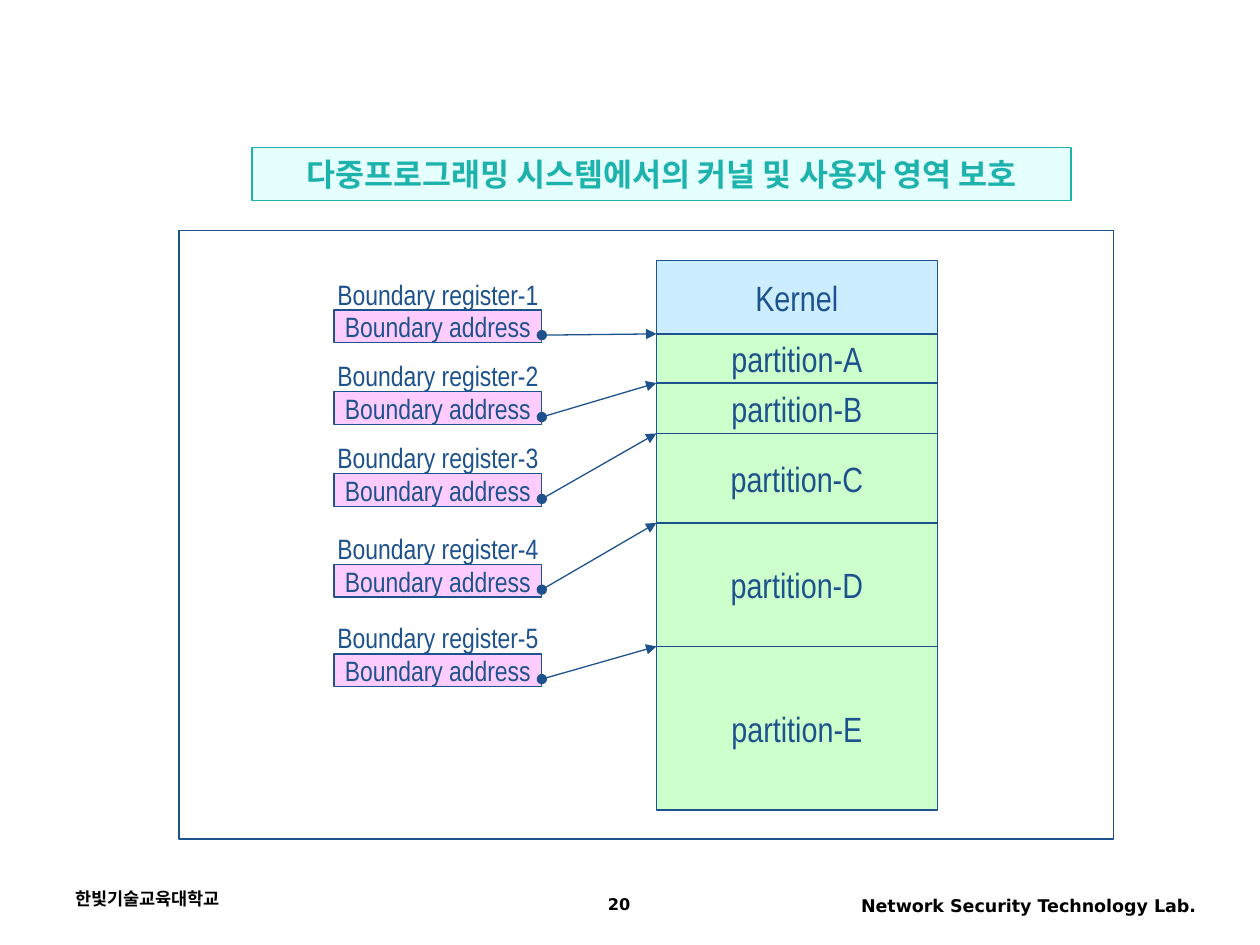
from lxml import etree
from pptx import Presentation
from pptx.dml.color import RGBColor
from pptx.enum.shapes import MSO_CONNECTOR, MSO_SHAPE
from pptx.enum.text import MSO_ANCHOR, MSO_AUTO_SIZE, PP_ALIGN
from pptx.oxml.ns import qn
from pptx.util import Inches, Pt

LEFT, CENTER, RIGHT = PP_ALIGN.LEFT, PP_ALIGN.CENTER, PP_ALIGN.RIGHT
MIDDLE, TOP = MSO_ANCHOR.MIDDLE, MSO_ANCHOR.TOP
NO_FIT = MSO_AUTO_SIZE.NONE
RECTANGLE, STRAIGHT = MSO_SHAPE.RECTANGLE, MSO_CONNECTOR.STRAIGHT

BLUE = RGBColor(0x1D, 0x52, 0x8D)
TEAL = RGBColor(0x1D, 0xB3, 0xAC)
PALE_TEAL = RGBColor(0xCC, 0xFF, 0xFF)
PALE_BLUE = RGBColor(0xCC, 0xEC, 0xFF)
PALE_GREEN = RGBColor(0xCC, 0xFF, 0xCC)
PINK = RGBColor(0xFF, 0xCC, 0xFF)
WHITE = RGBColor(0xFF, 0xFF, 0xFF)
BLACK = RGBColor(0, 0, 0)

BODY_FONT, FOOTER_FONT = "Arial Narrow", "DejaVu Sans"
LINE_WIDTH = Pt(0.75)

# Content
TITLE = "다중프로그래밍 시스템에서의 커널 및 사용자 영역 보호"
MEMORY = [  # name, top edge, fill
    ("Kernel", 2.07, PALE_BLUE),
    ("partition-A", 2.65, PALE_GREEN),
    ("partition-B", 3.04, PALE_GREEN),
    ("partition-C", 3.44, PALE_GREEN),
    ("partition-D", 4.15, PALE_GREEN),
    ("partition-E", 5.13, PALE_GREEN),
]
MEMORY_LEFT, MEMORY_WIDTH, MEMORY_BOTTOM = 5.21, 2.23, 6.43
REGISTER_TOPS = [2.46, 3.11, 3.76, 4.48, 5.19]
REGISTER_LEFT, REGISTER_WIDTH, REGISTER_HEIGHT = 2.65, 1.65, 0.26
FOOTERS = [  # text, area, size, alignment
    ("한빛기술교육대학교", (0.5, 7, 2.33, 0.33), 10, LEFT),
    ("20", (3.75, 7.05, 2.33, 0.28), 9.2, CENTER),
    ("Network Security Technology Lab.", (6.42, 7.05, 3.17, 0.32), 10, RIGHT),
]


def inches(values):
    return [Inches(value) for value in values]


def write(box, text, size, color, font=BODY_FONT, align=CENTER,
          anchor=MIDDLE, bold=False, wrap=False):
    frame = box.text_frame
    frame.auto_size = NO_FIT
    frame.word_wrap = wrap
    frame.vertical_anchor = anchor
    para = frame.paragraphs[0]
    para.text = text
    para.alignment = align
    para.font.size = Pt(size)
    para.font.name = font
    para.font.bold = bold
    para.font.color.rgb = color


def paint(box, fill, line):
    box.fill.solid()
    box.fill.fore_color.rgb = fill
    box.line.color.rgb = line
    box.line.width = LINE_WIDTH


def add_rectangle(page, area, fill):
    box = page.shapes.add_shape(RECTANGLE, *inches(area))
    box.shadow.inherit = False
    paint(box, fill, BLUE)
    return box


def add_label(page, area, text, size, color, **style):
    box = page.shapes.add_textbox(*inches(area))
    write(box, text, size, color, anchor=TOP, **style)


def add_pointer(page, start, end):
    pointer = page.shapes.add_connector(STRAIGHT, *inches(start + end))
    pointer.line.color.rgb = BLUE
    pointer.line.width = LINE_WIDTH
    line = pointer.line._get_or_add_ln()
    etree.SubElement(line, qn("a:headEnd"), type="oval")
    etree.SubElement(line, qn("a:tailEnd"), type="triangle")
    etree.SubElement(pointer._element.spPr, qn("a:effectLst"))


def format_title(title):
    title.left, title.top, title.width, title.height = inches((2, 1.17, 6.5, 0.42))
    properties = title._element.spPr
    outline = etree.SubElement(properties, qn("a:prstGeom"),
                               prst="flowChartAlternateProcess")
    etree.SubElement(outline, qn("a:avLst"))
    paint(title, PALE_TEAL, TEAL)
    fill_color = properties.find(qn("a:solidFill")).find(qn("a:srgbClr"))
    etree.SubElement(fill_color, qn("a:alpha"), val="50000")
    write(title, TITLE, 18, TEAL, bold=True)


def main():
    deck = Presentation()
    deck.slide_width, deck.slide_height = Inches(10), Inches(7.5)
    page = deck.slides.add_slide(deck.slide_layouts[5])
    format_title(page.shapes.title)

    # Footer
    for text, area, size, align in FOOTERS:
        add_label(page, area, text, size, BLACK, font=FOOTER_FONT,
                  align=align, bold=True, wrap=True)

    # Frame and memory map
    add_rectangle(page, (1.42, 1.83, 7.42, 4.83), WHITE)
    tops = [top for _, top, _ in MEMORY]
    for (name, top, fill), bottom in zip(MEMORY, tops[1:] + [MEMORY_BOTTOM]):
        area = (MEMORY_LEFT, top, MEMORY_WIDTH, bottom - top)
        write(add_rectangle(page, area, fill), name, 20, BLUE)

    # Each register points at the start of one partition
    for number, (top, target) in enumerate(zip(REGISTER_TOPS, tops[1:]), 1):
        area = (REGISTER_LEFT, top, REGISTER_WIDTH, REGISTER_HEIGHT)
        write(add_rectangle(page, area, PINK), "Boundary address", 16, BLUE)
        add_label(page, (2.58, top - 0.31, 1.79, 0.37),
                  f"Boundary register-{number}", 16, BLUE, align=LEFT)
        add_pointer(page, (REGISTER_LEFT + REGISTER_WIDTH, top + 0.2),
                    (MEMORY_LEFT, target))

    deck.save("out.pptx")


if __name__ == "__main__":
    main()
